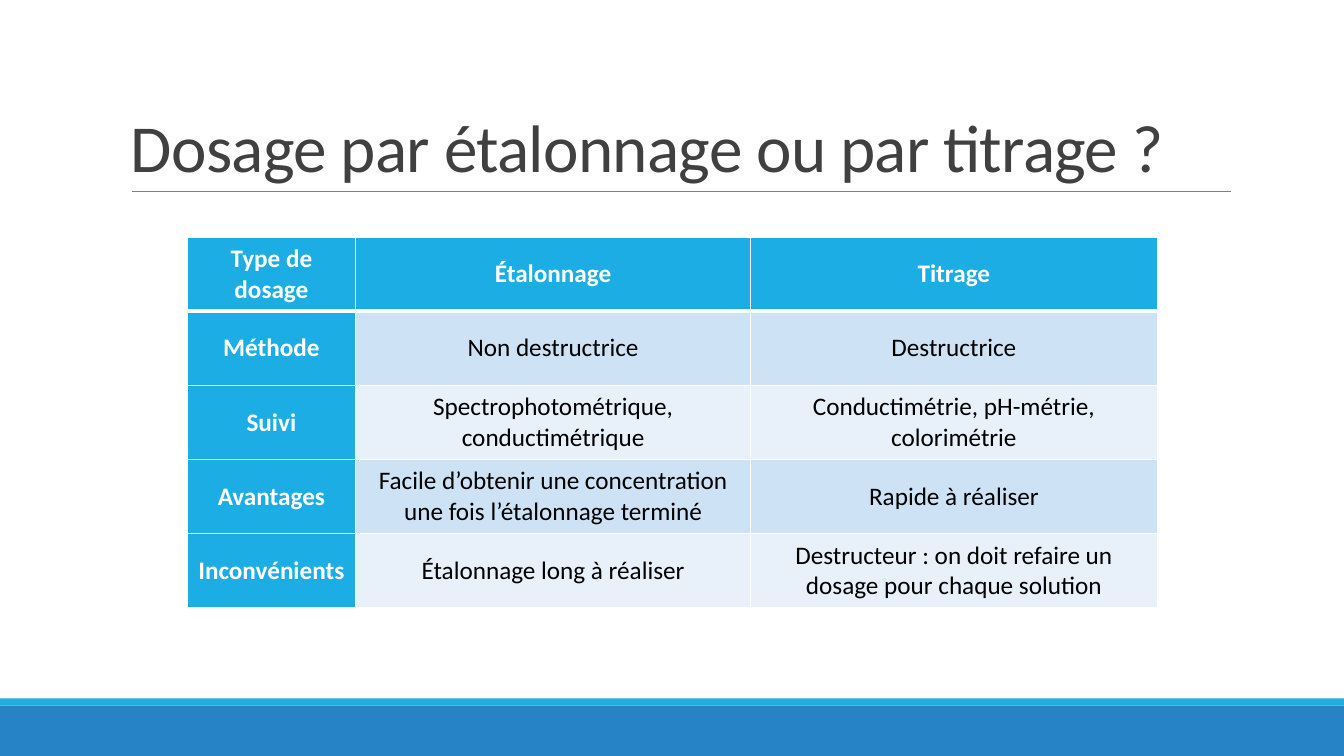
from dataclasses import dataclass

import pptx
import pptx.dml.color
import pptx.enum.shapes
import pptx.enum.text
import pptx.oxml
import pptx.oxml.ns
import pptx.util

Cm = pptx.util.Cm
Pt = pptx.util.Pt

FONT = "Calibri"
WHITE, BLACK = "FFFFFF", "000000"
CYAN, BLUE = "1CADE4", "2683C6"
ROW_TINTS = ("CDE3F5", "E8F1FA")

COLUMN_WIDTHS = (4.24, 9.96, 10.24)
ROW_HEIGHT = 1.87
ROWS = (
    ("Type de dosage", "Étalonnage", "Titrage"),
    ("Méthode", "Non destructrice", "Destructrice"),
    ("Suivi", "Spectrophotométrique,\nconductimétrique",
     "Conductimétrie, pH-métrie, colorimétrie"),
    ("Avantages",
     "Facile d’obtenir une concentration une fois l’étalonnage terminé",
     "Rapide à réaliser"),
    ("Inconvénients", "Étalonnage long à réaliser",
     "Destructeur : on doit refaire un dosage pour chaque solution"),
)


@dataclass
class Band:
    top: float
    height: float
    color: str


FOOTER_BANDS = (Band(17.78, 1.27, BLUE), Band(17.6, 0.18, CYAN))


def rgb(color: str) -> pptx.dml.color.RGBColor:
    return pptx.dml.color.RGBColor.from_string(color)


def style_font(font, size: float, color: str, bold: bool = False) -> None:
    font.name = FONT
    font.size = Pt(size)
    font.bold = bold
    font.color.rgb = rgb(color)


def add_band(slide, band: Band, width: int) -> None:
    sp = slide.shapes.add_shape(pptx.enum.shapes.MSO_SHAPE.RECTANGLE,
                                0, Cm(band.top), width, Cm(band.height))
    sp.shadow.inherit = False
    sp.fill.solid()
    sp.fill.fore_color.rgb = rgb(band.color)
    sp.line.fill.background()


def add_rule(slide, left: float, right: float, y: float) -> None:
    line = slide.shapes.add_connector(pptx.enum.shapes.MSO_CONNECTOR.STRAIGHT,
                                      Cm(left), Cm(y), Cm(right), Cm(y))
    line.line.color.rgb = rgb("808080")
    line.line.width = Pt(0.5)
    sp_pr = line._element.spPr
    sp_pr.append(sp_pr.makeelement(pptx.oxml.ns.qn("a:effectLst"), {}))


def add_title(slide, text: str) -> None:
    sp = slide.shapes.add_textbox(Cm(3.05), Cm(0.79), Cm(27.94), Cm(4.04))
    tf = sp.text_frame
    tf.word_wrap = True
    tf.vertical_anchor = pptx.enum.text.MSO_ANCHOR.BOTTOM
    p = tf.paragraphs[0]
    p.line_spacing = 0.85
    r = p.add_run()
    r.text = text
    r._r.get_or_add_rPr().set("spc", "-50")
    style_font(p.font, 48, "404040")


def add_border(cell, side: str, width: float) -> None:
    cell._tc.get_or_add_tcPr().append(pptx.oxml.parse_xml(
        f'<a:ln{side} {pptx.oxml.ns.nsdecls("a")} w="{Pt(width)}">'
        f'<a:solidFill><a:srgbClr val="{WHITE}"/></a:solidFill></a:ln{side}>'))


def style_cell(cell, row: int, col: int) -> None:
    heading = row == 0 or col == 0
    # Thick rule between the header and the first body row
    widths = {"L": 1, "R": 1, "T": 3 if row == 1 else 1, "B": 3 if row == 0 else 1}
    for side, width in widths.items():
        add_border(cell, side, width)
    cell.fill.solid()
    cell.fill.fore_color.rgb = rgb(CYAN if heading else ROW_TINTS[(row - 1) % 2])
    cell.vertical_anchor = pptx.enum.text.MSO_ANCHOR.MIDDLE
    for p in cell.text_frame.paragraphs:
        p.alignment = pptx.enum.text.PP_ALIGN.CENTER
        style_font(p.font, 18, WHITE if heading else BLACK, heading)


def add_comparison(slide) -> None:
    table = slide.shapes.add_table(
        len(ROWS), len(COLUMN_WIDTHS), Cm(4.72), Cm(5.97),
        Cm(sum(COLUMN_WIDTHS)), Cm(ROW_HEIGHT * len(ROWS))).table
    table.first_col = True
    for column, width in zip(table.columns, COLUMN_WIDTHS):
        column.width = Cm(width)
    for i, texts in enumerate(ROWS):
        table.rows[i].height = Cm(ROW_HEIGHT)
        for j, text in enumerate(texts):
            cell = table.cell(i, j)
            cell.text = text
            style_cell(cell, i, j)


def main() -> None:
    prs = pptx.Presentation()
    prs.slide_width, prs.slide_height = Cm(33.87), Cm(19.05)
    slide = prs.slides.add_slide(prs.slide_layouts[6])

    # Footer bands
    for band in FOOTER_BANDS:
        add_band(slide, band, prs.slide_width)

    # Title with its rule
    add_rule(slide, 3.33, 31.01, 4.83)
    add_title(slide, "Dosage par étalonnage ou par titrage ?")

    # Comparison table
    add_comparison(slide)

    prs.save("out.pptx")


if __name__ == "__main__":
    main()
